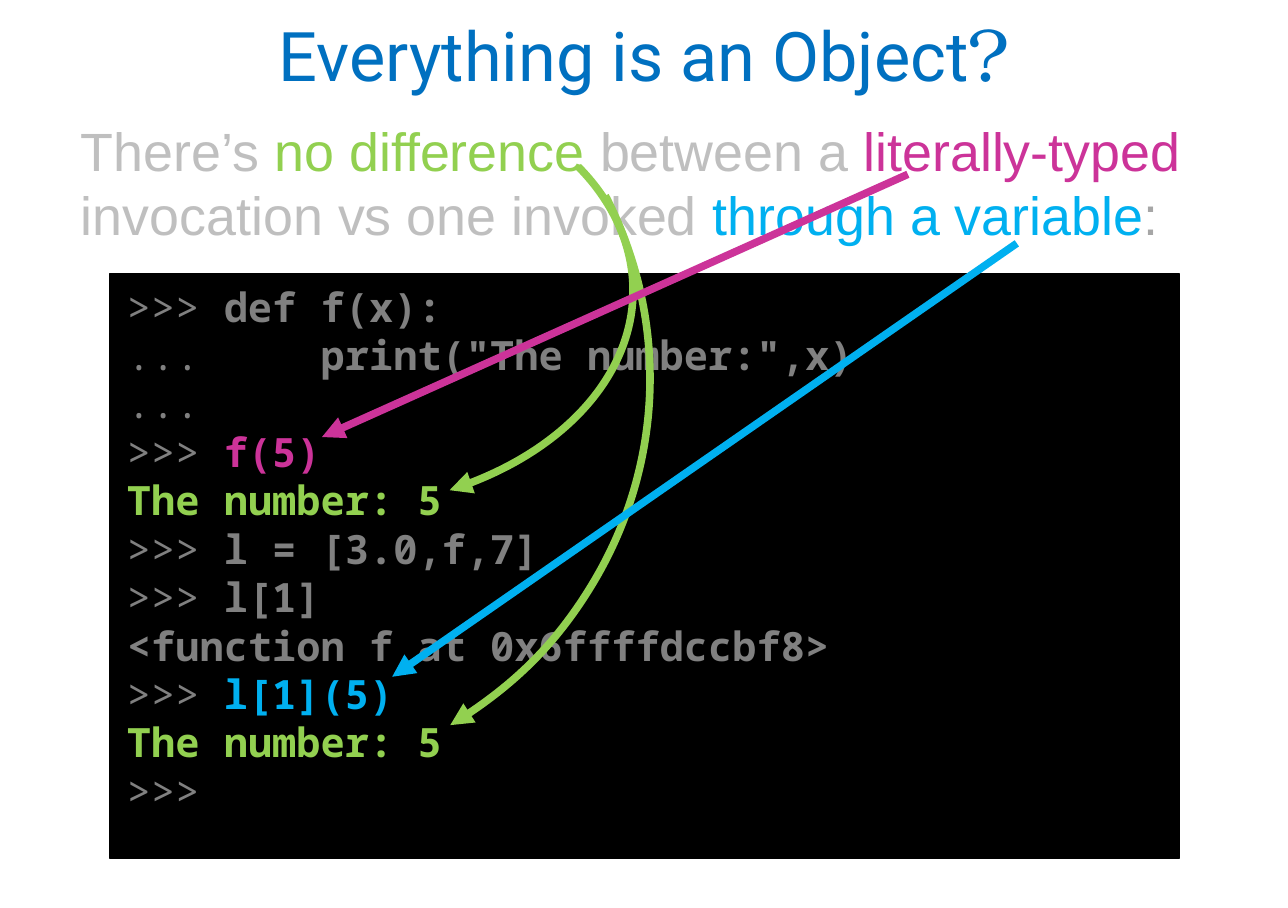
from dataclasses import dataclass

from lxml.etree import SubElement
from pptx import Presentation
from pptx.dml.color import RGBColor
from pptx.enum.shapes import MSO_CONNECTOR, MSO_SHAPE
from pptx.enum.text import MSO_ANCHOR, PP_ALIGN
from pptx.oxml.ns import qn
from pptx.util import Inches, Pt


@dataclass(frozen=True)
class Theme:
    """Hold the colours, fonts and sizes of the slide."""
    title: str = "0070C0"
    pale: str = "BFBFBF"
    mute: str = "A6A6A6"
    code: str = "808080"
    green: str = "92D050"
    pink: str = "CC3399"
    blue: str = "00B0F0"
    black: str = "000000"
    head: str = "Roboto"
    mark: str = "TeX Gyre Bonum"
    sans: str = "Arial"
    mono: str = "Noto Sans Mono"
    head_size: float = 40.7
    mark_size: float = 44.4
    lead_size: float = 32
    code_size: float = 24
    lead_line: float = 38
    code_line: float = 28.8
    stroke: float = 4.5


THEME = Theme()
LEAD = [
    ("There’s ", THEME.pale),
    ("no difference ", THEME.green),
    ("between a ", THEME.pale),
    ("literally-typed ", THEME.pink),
    ("invocation vs one invoked ", THEME.pale),
    ("through a variable", THEME.blue),
    (":", THEME.mute),
]
CODE = [
    (">>> ", "def f(x):", THEME.code),
    ("...", "     print(\"The number:\",x)", THEME.code),
    ("...", "", THEME.code),
    (">>> ", "f(5)", THEME.pink),
    ("", "The number: 5", THEME.green),
    (">>>", " l = [3.0,f,7]", THEME.code),
    (">>>", " l[1]", THEME.code),
    ("", "<function f at 0x6ffffdccbf8>", THEME.code),
    (">>> ", "l[1](5)", THEME.blue),
    ("", "The number: 5", THEME.green),
    (">>>", "", THEME.code),
]


def style(font, name=None, size=None, color=None, bold=None):
    """Set the given traits of a font."""
    if name:
        font.name = name
    if size:
        font.size = Pt(size)
    if color:
        font.color.rgb = RGBColor.from_string(color)
    if bold is not None:
        font.bold = bold


def add_run(para, text, **look):
    """Add a styled run to a paragraph."""
    run = para.add_run()
    run.text = text
    style(run.font, **look)


def add_box(slide, box):
    """Add a wrapping text box and return its frame."""
    frame = slide.shapes.add_textbox(*map(Inches, box)).text_frame
    frame.word_wrap = True
    return frame


def add_title(slide, box):
    """Place the centred title in its box."""
    frame = add_box(slide, box)
    frame.vertical_anchor = MSO_ANCHOR.MIDDLE
    para = frame.paragraphs[0]
    para.alignment = PP_ALIGN.CENTER
    para.line_spacing = 0.9
    style(para.font, color=THEME.title)
    for text, name, size in (
        ("Everything is an Object", THEME.head, THEME.head_size),
        ("?", THEME.mark, THEME.mark_size),
    ):
        add_run(para, text, name=name, size=size, color=THEME.title)


def add_panel(slide, box):
    """Place the black console panel."""
    panel = slide.shapes.add_shape(MSO_SHAPE.RECTANGLE, *map(Inches, box))
    panel.shadow.inherit = False
    panel.fill.solid()
    panel.fill.fore_color.rgb = RGBColor.from_string(THEME.black)
    panel.line.color.rgb = RGBColor.from_string(THEME.black)
    panel.line.width = Pt(0.75)


def add_body(slide, box):
    """Place the lead sentence and the console session."""
    frame = add_box(slide, box)
    lead = frame.paragraphs[0]
    lead.line_spacing = Pt(THEME.lead_line)
    lead.space_after = Pt(21)
    style(lead.font, THEME.sans, THEME.lead_size)
    for text, color in LEAD:
        add_run(lead, text, name=THEME.sans, size=THEME.lead_size, color=color)
    for prompt, text, color in CODE:
        para = frame.add_paragraph()
        para._p.get_or_add_pPr().set("marL", str(Inches(0.38)))
        para.line_spacing = Pt(THEME.code_line)
        style(para.font, THEME.mono, THEME.code_size)
        for part, tint, bold in ((prompt, THEME.code, False), (text, color, True)):
            if part:
                add_run(para, part, name=THEME.mono, size=THEME.code_size,
                        color=tint, bold=bold)


def add_head(shape, color):
    """Give a line its stroke and arrowhead."""
    shape.line.color.rgb = RGBColor.from_string(color)
    shape.line.width = Pt(THEME.stroke)
    SubElement(shape.line._get_or_add_ln(), qn("a:tailEnd"), type="triangle")


def add_curve(slide, box):
    """Place a green arc arrow on the ellipse that fills the box."""
    arc = slide.shapes.add_shape(MSO_SHAPE.ARC, *map(Inches, box))
    arc.shadow.inherit = False
    arc.adjustments[0] = 200.569
    arc.adjustments[1] = 34.287
    arc.fill.background()
    add_head(arc, THEME.green)


def add_arrow(slide, start, end, color):
    """Place a straight arrow between two points."""
    line = slide.shapes.add_connector(
        MSO_CONNECTOR.STRAIGHT, *map(Inches, (*start, *end)))
    add_head(line, color)
    SubElement(line._element.spPr, qn("a:effectLst"))


def main():
    """Build and save the slide."""
    deck = Presentation()
    deck.slide_width, deck.slide_height = Inches(10.64), Inches(7.5)
    slide = deck.slides.add_slide(deck.slide_layouts[6])
    add_panel(slide, (0.91, 2.26, 8.83, 4.83))
    add_body(slide, (0.57, 0.93, 9.41, 6.08))
    add_curve(slide, (0.07, 0.59, 5.16, 3.62))
    add_curve(slide, (-1.63, -0.25, 7, 6.75))
    add_arrow(slide, (7.5, 1.44), (2.66, 3.61), THEME.pink)
    add_arrow(slide, (8.4, 2.01), (3.24, 5.59), THEME.blue)
    add_title(slide, (0, 0, 10.64, 0.95))
    deck.save("out.pptx")


if __name__ == "__main__":
    main()
